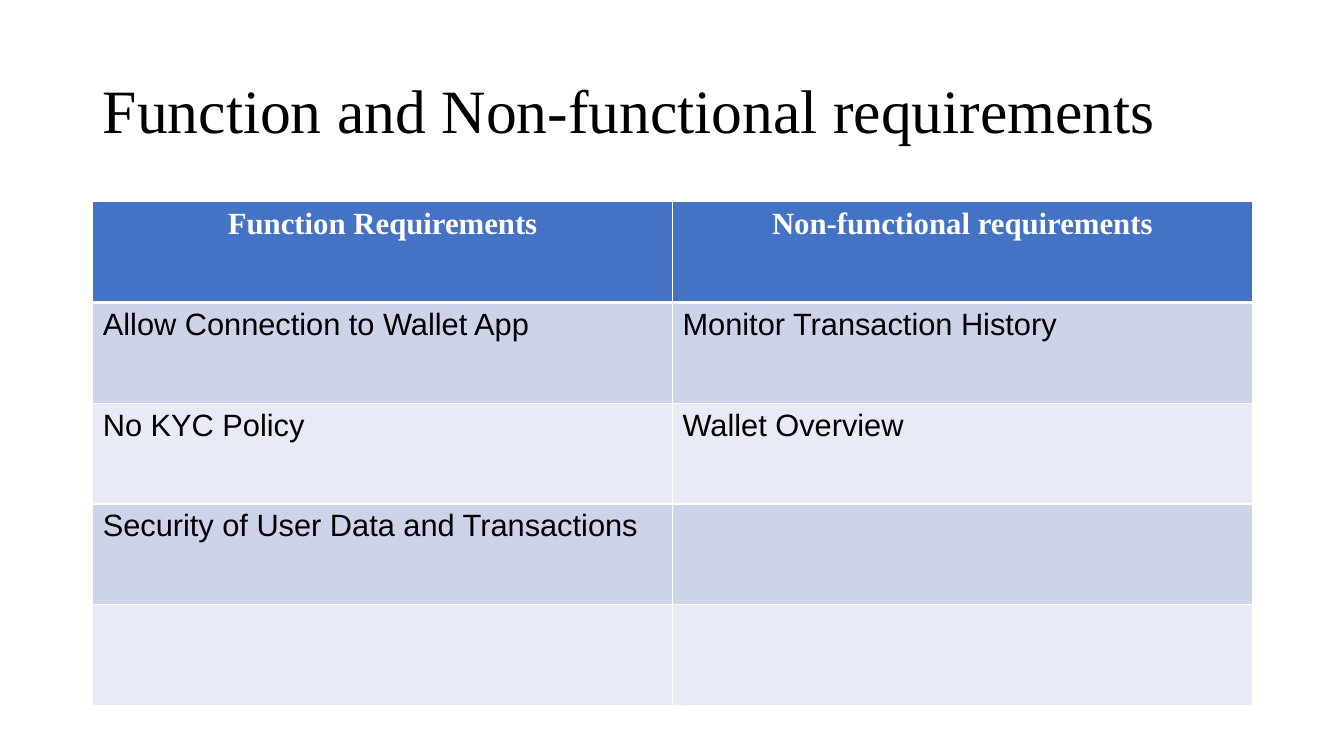
from lxml.etree import SubElement
from pptx import Presentation
from pptx.dml.color import RGBColor
from pptx.enum.text import MSO_ANCHOR as Anchor, MSO_AUTO_SIZE as AutoSize, PP_ALIGN as Align
from pptx.oxml.ns import qn
from pptx.util import Inches, Pt

WHITE, BLACK, HEADER_BLUE = "FFFFFF", "000000", "4472C4"
BAND_FILLS = ["CDD4EA", "E8EBF5"]
REQUIREMENTS = [
    ("Function Requirements", "Non-functional requirements"),
    ("Allow Connection to Wallet App", "Monitor Transaction History"),
    ("No KYC Policy", "Wallet Overview"),
    ("Security of User Data and Transactions", ""),
    ("", ""),
]


def color(value):
    """Turn a hex string into a colour."""
    return RGBColor.from_string(value)


def add_text(paragraph, text, size, font, text_color, bold=False):
    """Add one formatted run to a paragraph."""
    run = paragraph.add_run()
    run.text = text
    run.font.size = Pt(size)
    run.font.name = font
    run.font.bold = bold
    run.font.color.rgb = color(text_color)


def set_borders(cell, widths):
    """Give a cell white borders, before its fill; widths maps sides to points."""
    properties = cell._tc.get_or_add_tcPr()
    for side, width in widths.items():
        line = SubElement(properties, qn(f"a:ln{side}"), w=str(Pt(width)))
        fill = SubElement(line, qn("a:solidFill"))
        SubElement(fill, qn("a:srgbClr"), val=WHITE)


def place_title(slide, left, top, width, height):
    """Fill and place the slide title."""
    title = slide.shapes.title
    title.left, title.top = Inches(left), Inches(top)
    title.width, title.height = Inches(width), Inches(height)
    frame = title.text_frame
    frame.word_wrap = True
    frame.auto_size = AutoSize.NONE
    frame.vertical_anchor = Anchor.MIDDLE
    paragraph = frame.paragraphs[0]
    paragraph.alignment = Align.LEFT
    paragraph.line_spacing = 0.9
    add_text(paragraph, "Function and Non-functional requirements", 44, "Times New Roman", BLACK)


def fill_cell(cell, text, row):
    """Style a table cell according to its row and add its text."""
    is_header = row == 0
    set_borders(cell, {"L": 1, "R": 1, "T": 3 if row == 1 else 1, "B": 3 if is_header else 1})
    cell.fill.solid()
    cell.fill.fore_color.rgb = color(HEADER_BLUE if is_header else BAND_FILLS[(row - 1) % 2])
    paragraph = cell.text_frame.paragraphs[0]
    if is_header:
        paragraph.alignment = Align.CENTER
        add_text(paragraph, text, 22, "Times New Roman", WHITE, bold=True)
    elif text:
        add_text(paragraph, text, 22, "Arial", BLACK)


def place_requirements(slide, left, top, width, height):
    """Add the requirements table with equal rows and columns."""
    table = slide.shapes.add_table(
        len(REQUIREMENTS), len(REQUIREMENTS[0]),
        Inches(left), Inches(top), Inches(width), Inches(height),
    ).table
    for row, texts in enumerate(REQUIREMENTS):
        for column, text in enumerate(texts):
            fill_cell(table.cell(row, column), text, row)


def main():
    """Build and save the presentation."""
    presentation = Presentation()
    presentation.slide_width, presentation.slide_height = Inches(13.33), Inches(7.5)
    slide = presentation.slides.add_slide(presentation.slide_layouts[5])
    place_title(slide, 0.92, 0.4, 11.5, 1.45)
    place_requirements(slide, 0.92, 2, 11.5, 5)
    presentation.save("out.pptx")


if __name__ == "__main__":
    main()
